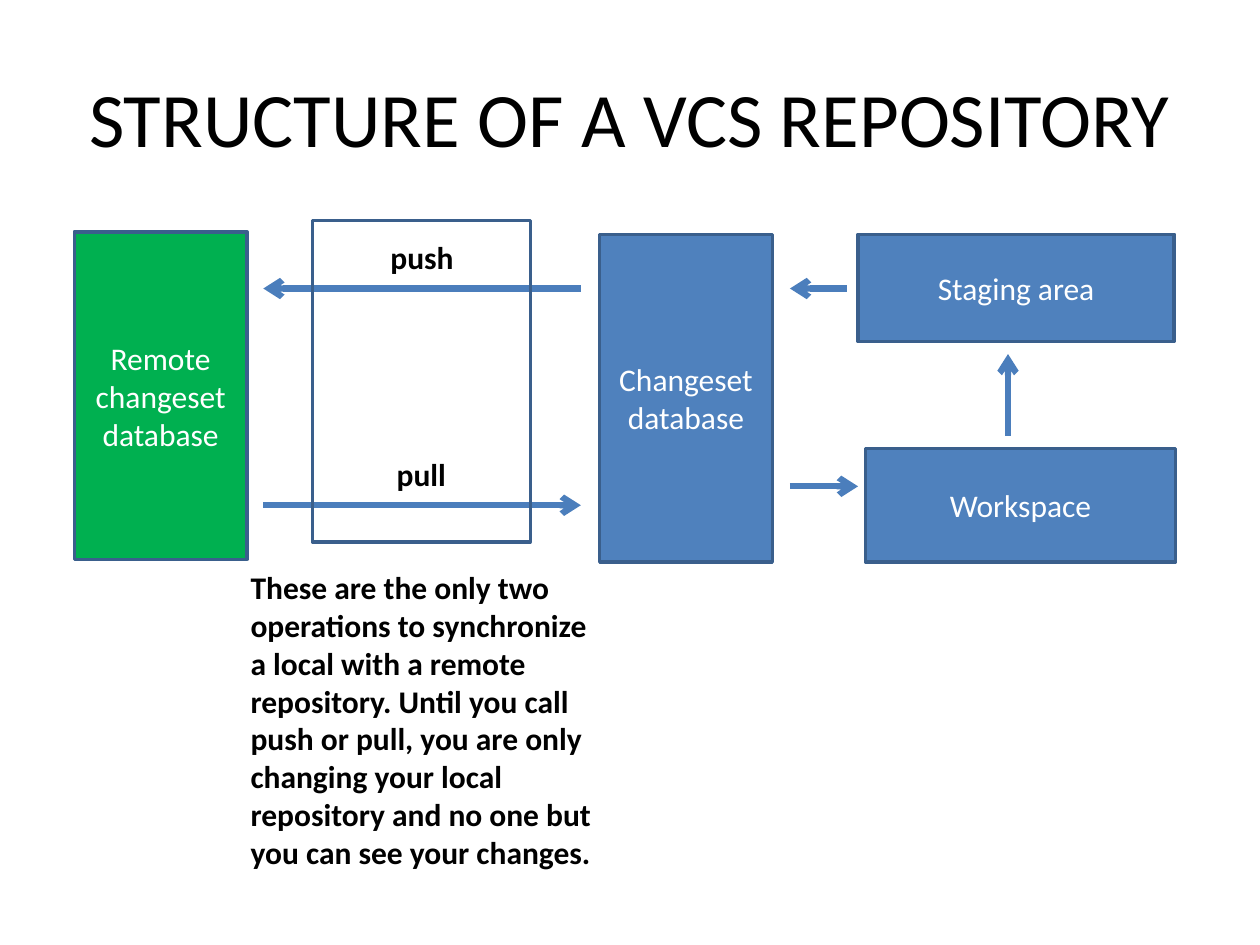
from dataclasses import dataclass

from lxml import etree
from pptx import Presentation
from pptx import util as u
from pptx.dml.color import RGBColor
from pptx.enum import shapes, text
from pptx.oxml import ns


@dataclass(frozen=True)
class Theme:
    """Colours, font and sizes of the slide."""
    font: str = "Calibri"
    ink: str = "000000"
    light: str = "FFFFFF"
    local: str = "4F81BD"
    remote: str = "00B050"
    outline: str = "3A5F8C"
    arrow: str = "4B7EBC"
    title_size: float = 44
    body_size: float = 18
    outline_width: float = 2
    arrow_width: float = 3.5


THEME = Theme()
CENTER = text.PP_ALIGN.CENTER
LEFT = text.PP_ALIGN.LEFT


def write(frame, lines, size, color, bold=False, align=CENTER):
    """Fill a text frame with one paragraph for each line."""
    for index, line in enumerate(lines):
        para = frame.paragraphs[0] if index == 0 else frame.add_paragraph()
        para.alignment = align
        span = para.add_run()
        span.text = line
        formats = {"name": THEME.font, "size": u.Pt(size), "bold": bold}
        for name, value in formats.items():
            setattr(span.font, name, value)
        span.font.color.rgb = RGBColor.from_string(color)


def add_box(page, box, lines=(), fill=None):
    """Draw an outlined rectangle, hollow when no fill is given."""
    block = page.shapes.add_shape(
        shapes.MSO_SHAPE.RECTANGLE, *map(u.Inches, box))
    block.shadow.inherit = False
    if fill:
        block.fill.solid()
        block.fill.fore_color.rgb = RGBColor.from_string(fill)
    else:
        block.fill.background()
    block.line.color.rgb = RGBColor.from_string(THEME.outline)
    block.line.width = u.Pt(THEME.outline_width)
    block.text_frame.vertical_anchor = text.MSO_ANCHOR.MIDDLE
    write(block.text_frame, lines, THEME.body_size, THEME.light)


def add_arrow(page, start, end):
    """Draw a straight arrow with its head at the end point."""
    arrow = page.shapes.add_connector(
        shapes.MSO_CONNECTOR.STRAIGHT, *map(u.Inches, (*start, *end)))
    arrow.line.color.rgb = RGBColor.from_string(THEME.arrow)
    arrow.line.width = u.Pt(THEME.arrow_width)
    etree.SubElement(arrow.line._get_or_add_ln(), ns.qn("a:tailEnd"),
                     type="arrow")
    etree.SubElement(arrow._element.spPr, ns.qn("a:effectLst"))


def add_label(page, box, line, wrap=False):
    """Place bold text that is left aligned in its box."""
    label = page.shapes.add_textbox(*map(u.Inches, box))
    label.text_frame.word_wrap = wrap
    label.text_frame.auto_size = text.MSO_AUTO_SIZE.SHAPE_TO_FIT_TEXT
    write(label.text_frame, [line], THEME.body_size, THEME.ink, True, LEFT)


def add_title(page, box, line):
    """Move and fill the title placeholder."""
    title = page.shapes.title
    for name, value in zip(("left", "top", "width", "height"), box):
        setattr(title, name, u.Inches(value))
    title.text_frame.vertical_anchor = text.MSO_ANCHOR.MIDDLE
    write(title.text_frame, [line], THEME.title_size, THEME.ink)


def add_local_repository(page, box):
    """Draw the database, staging area and workspace with their cycle."""
    left, top, width, height = box
    right, bottom = left + width, top + height
    staging_left, workspace_left = right - 2.52, right - 2.46
    gap_left = left + 1.51
    staging_height, workspace_height = 0.85, 0.9
    workspace_top = bottom - workspace_height
    middle = left + 3.24
    blocks = [
        ((left, top, 1.37, height), "Changeset database"),
        ((workspace_left, workspace_top, 2.46, workspace_height),
         "Workspace"),
        ((staging_left, top, 2.51, staging_height), "Staging area"),
    ]
    for block, name in blocks:
        add_box(page, block, [name], THEME.local)
    out_y, back_y = workspace_top + 0.3, top + 0.43
    add_arrow(page, (gap_left, out_y), (staging_left, out_y))
    add_arrow(page, (middle, workspace_top - 0.1),
              (middle, top + staging_height + 0.1))
    add_arrow(page, (staging_left - 0.09, back_y), (gap_left, back_y))


def add_exchange(page, box):
    """Draw push and pull across a frame, with the explanation below."""
    left, top, width, height = box
    near, far = left - 0.39, left + width + 0.4
    push_y, pull_y = top + 0.54, top + 2.26
    add_arrow(page, (far, push_y), (near, push_y))
    add_arrow(page, (near, pull_y), (far, pull_y))
    add_label(page, (left + 0.52, push_y - 0.45, 0.71, 0.4), "push")
    add_label(page, (left + 0.57, pull_y - 0.45, 0.59, 0.4), "pull")
    add_box(page, box)
    add_label(page, (left - 0.59, top + height + 0.16, 2.91, 2.52),
              "These are the only two operations to synchronize a local "
              "with a remote repository. Until you call push or pull, you "
              "are only changing your local repository and no one but you "
              "can see your changes.", wrap=True)


def build():
    """Build and save the deck."""
    deck = Presentation()
    deck.slide_width, deck.slide_height = u.Inches(10), u.Inches(7.5)
    page = deck.slides.add_slide(deck.slide_layouts[5])
    add_title(page, (0.5, 0.3, 9, 1.25), "STRUCTURE OF A VCS REPOSITORY")
    add_local_repository(page, (4.76, 1.86, 4.57, 2.6))
    add_box(page, (0.59, 1.84, 1.37, 2.6),
            ["Remote", "changeset database"], THEME.remote)
    add_exchange(page, (2.48, 1.75, 1.73, 2.55))
    deck.save("out.pptx")


build()
